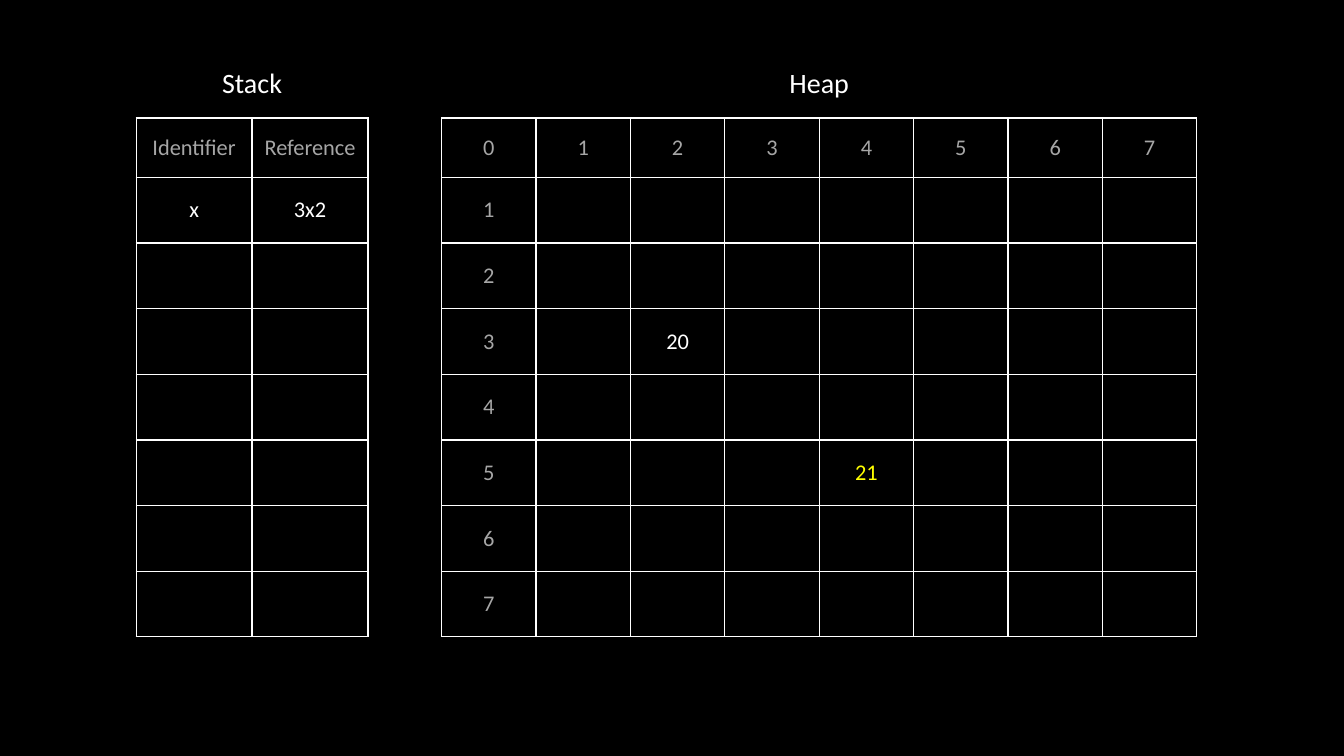
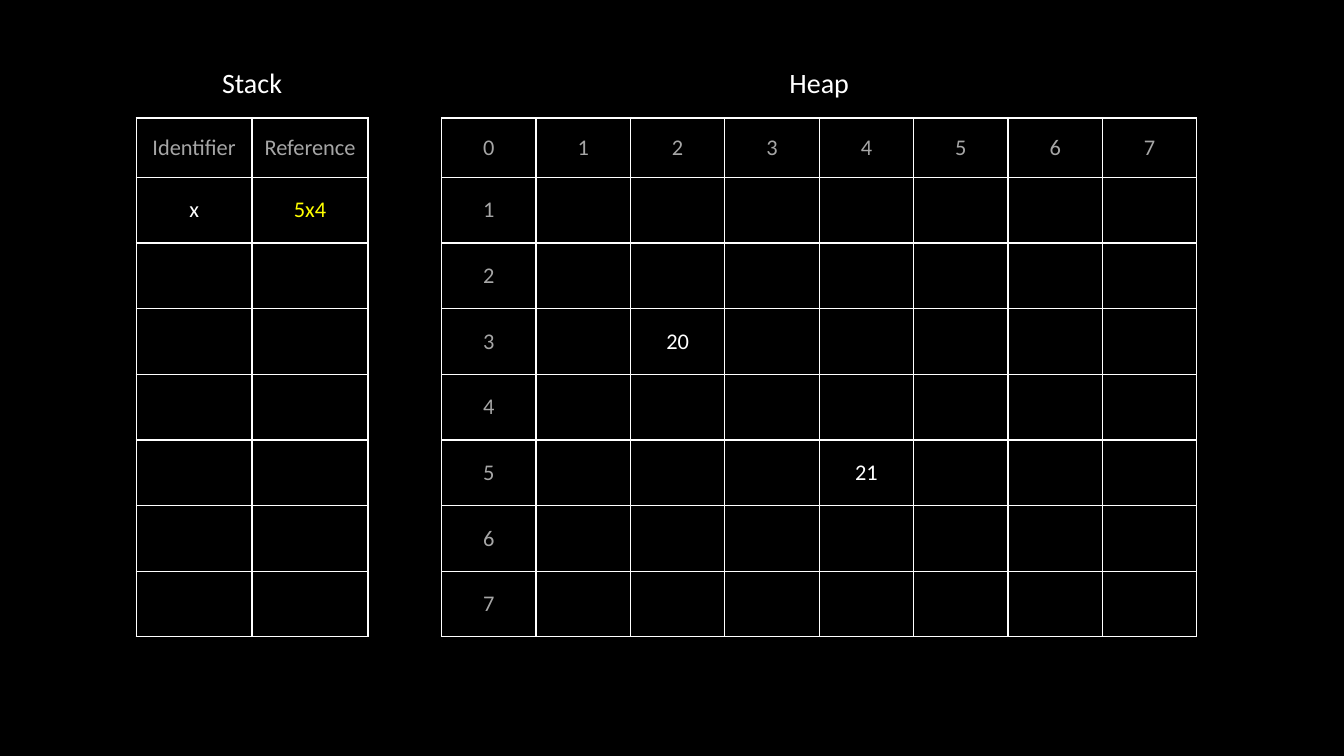
from dataclasses import dataclass

from lxml.etree import SubElement
from pptx import Presentation
from pptx.dml.color import RGBColor
from pptx.enum.text import MSO_ANCHOR, MSO_AUTO_SIZE, PP_ALIGN
from pptx.oxml.ns import qn
from pptx.util import Inches, Pt


@dataclass(frozen=True)
class Theme:
    background: str = "000000"
    text: str = "FFFFFF"
    label: str = "A6A6A6"
    highlight: str = "FFFF00"
    border: str = "FFFFFF"
    font: str = "Calibri"
    heading_size: int = 20
    cell_size: int = 16
    border_width: int = 1


@dataclass(frozen=True)
class Box:
    left: float
    top: float
    width: float
    height: float


THEME = Theme()
STACK_BOX = Box(1.35, 1.17, 2.3, 5.15)
HEAP_BOX = Box(4.38, 1.17, 7.49, 5.15)
HEADING_WIDTH, HEADING_HEIGHT, HEADING_RISE = 1.8, 0.44, 0.57
ROW_COUNT = 8
HEAP_COLUMNS = 8
HEADER_HEIGHT = 0.59


def add_text(text_frame, text, size, color):
    paragraph = text_frame.paragraphs[0]
    paragraph.alignment = PP_ALIGN.CENTER
    run = paragraph.add_run()
    run.text = text
    run.font.name = THEME.font
    run.font.size = Pt(size)
    run.font.color.rgb = RGBColor.from_string(color)


def add_heading(slide, box, text):
    """Centre a heading above the given table box."""
    shape = slide.shapes.add_textbox(
        Inches(box.left + (box.width - HEADING_WIDTH) / 2),
        Inches(box.top - HEADING_RISE),
        Inches(HEADING_WIDTH),
        Inches(HEADING_HEIGHT),
    )
    shape.text_frame.word_wrap = True
    shape.text_frame.auto_size = MSO_AUTO_SIZE.SHAPE_TO_FIT_TEXT
    add_text(shape.text_frame, text, THEME.heading_size, THEME.text)


def style_cell(cell):
    properties = cell._tc.get_or_add_tcPr()
    for side in ("a:lnL", "a:lnR", "a:lnT", "a:lnB"):
        line = SubElement(properties, qn(side), w=str(Pt(THEME.border_width)))
        fill = SubElement(line, qn("a:solidFill"))
        SubElement(fill, qn("a:srgbClr"), val=THEME.border)
    cell.fill.background()
    cell.vertical_anchor = MSO_ANCHOR.MIDDLE


def add_grid(slide, box, column_count, entries):
    """Draw a bordered table; entries maps (row, column) to (text, color)."""
    table = slide.shapes.add_table(
        ROW_COUNT, column_count,
        Inches(box.left), Inches(box.top), Inches(box.width), Inches(box.height),
    ).table
    table.first_row = table.horz_banding = False
    for column in table.columns:
        column.width = Inches(box.width / column_count)
    for row in table.rows:
        row.height = Inches((box.height - HEADER_HEIGHT) / (ROW_COUNT - 1))
    table.rows[0].height = Inches(HEADER_HEIGHT)
    for cell in table.iter_cells():
        style_cell(cell)
    for (row, column), (text, color) in entries.items():
        add_text(table.cell(row, column).text_frame, text, THEME.cell_size, color)


def add_heap(slide, box, values):
    labels = {(0, column): (str(column), THEME.label) for column in range(HEAP_COLUMNS)}
    labels |= {(row, 0): (str(row), THEME.label) for row in range(ROW_COUNT)}
    add_grid(slide, box, HEAP_COLUMNS, labels | values)
    add_heading(slide, box, "Heap")


def add_stack(slide, box, reference):
    entries = {
        (0, 0): ("Identifier", THEME.label),
        (0, 1): ("Reference", THEME.label),
        (1, 0): ("x", THEME.text),
        (1, 1): reference,
    }
    add_grid(slide, box, 2, entries)
    add_heading(slide, box, "Stack")


def add_memory_slide(presentation, reference, new_value):
    slide = presentation.slides.add_slide(presentation.slide_layouts.get_by_name("Blank"))
    add_heap(slide, HEAP_BOX, {(3, 2): ("20", THEME.text), (5, 4): new_value})
    add_stack(slide, STACK_BOX, reference)


def main():
    presentation = Presentation()
    presentation.slide_width = Inches(13.33)
    presentation.slide_height = Inches(7.5)
    background = presentation.slide_master.background.fill
    background.solid()
    background.fore_color.rgb = RGBColor.from_string(THEME.background)

    add_memory_slide(presentation, ("3x2", THEME.text), ("21", THEME.highlight))
    add_memory_slide(presentation, ("5x4", THEME.highlight), ("21", THEME.text))
    presentation.save("out.pptx")


if __name__ == "__main__":
    main()
